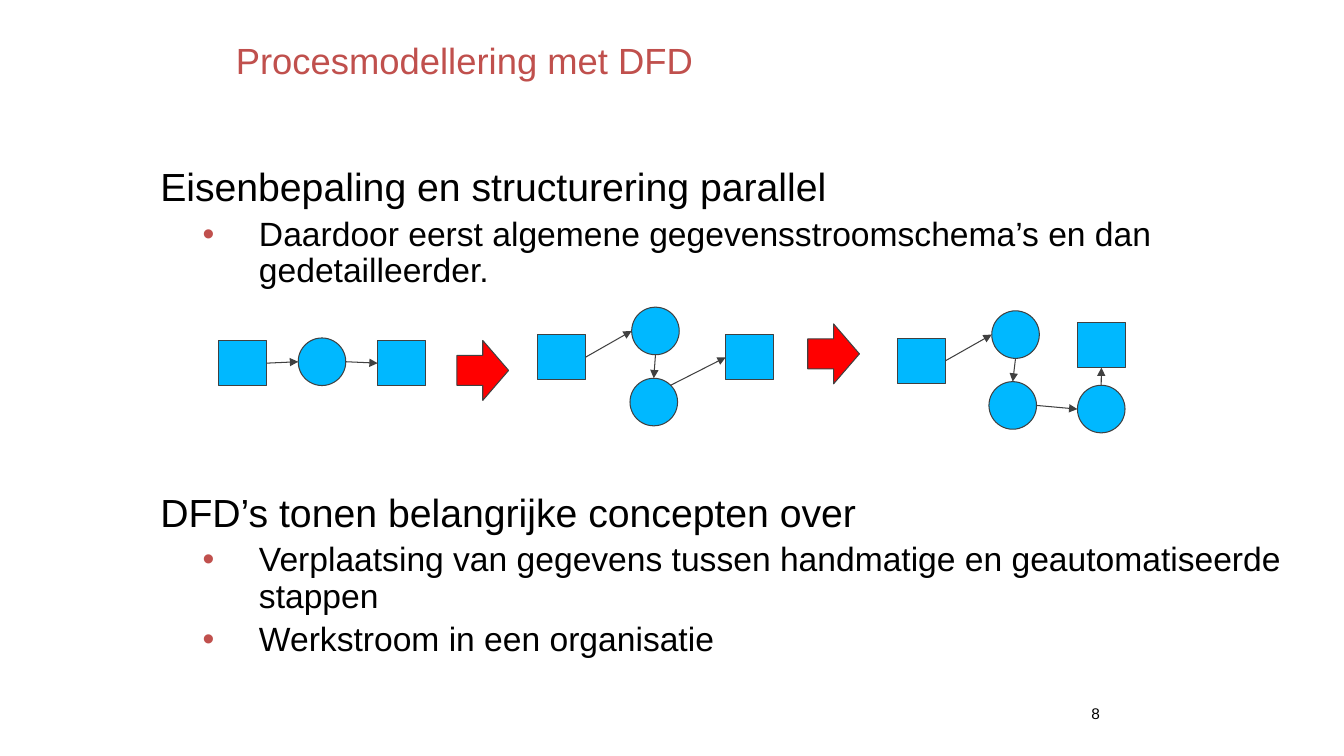
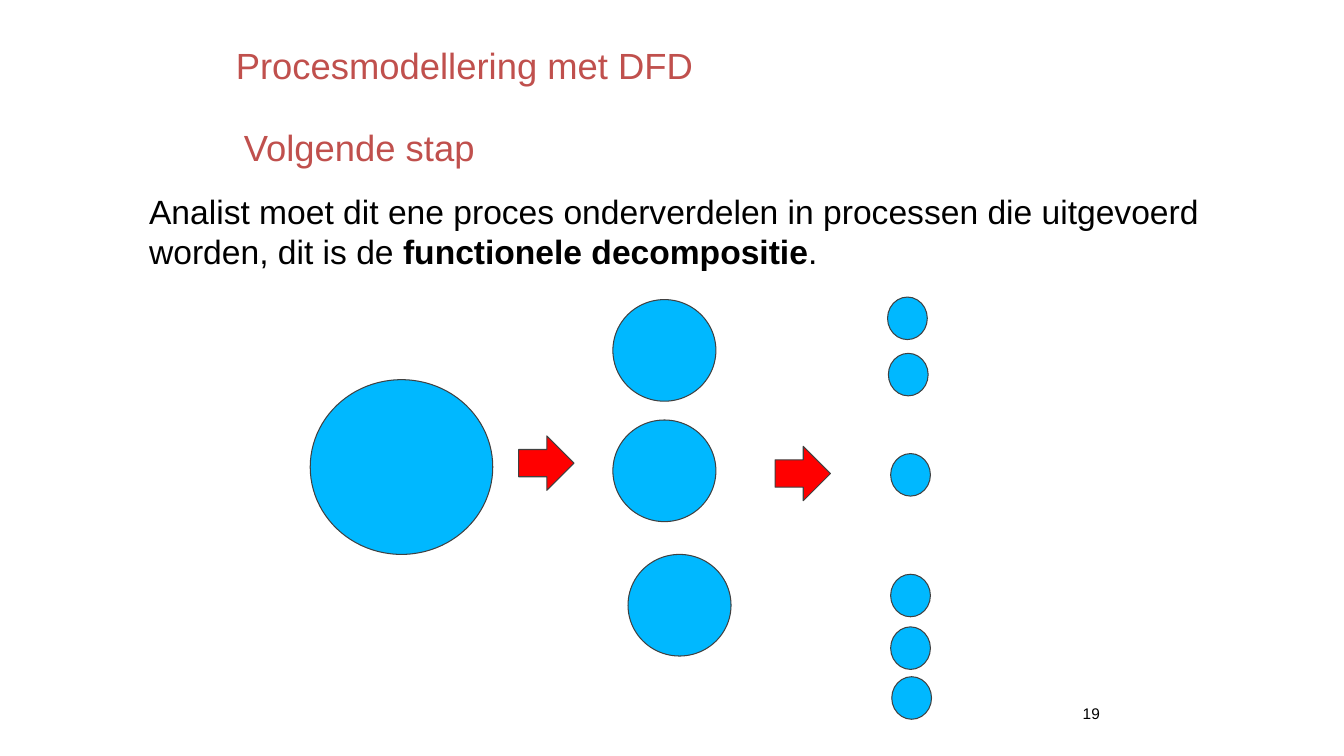
from dataclasses import dataclass

from pptx import Presentation
from pptx.dml.color import RGBColor
from pptx.enum.shapes import MSO_CONNECTOR, MSO_SHAPE
from pptx.enum.text import MSO_ANCHOR, PP_ALIGN
from pptx.oxml.ns import qn
from pptx.util import Pt
from lxml.etree import SubElement


@dataclass(frozen=True)
class Theme:
    font: str = "Arial"
    accent: RGBColor = RGBColor(0xC0, 0x50, 0x4D)
    ink: RGBColor = RGBColor(0x00, 0x00, 0x00)
    node: RGBColor = RGBColor(0x00, 0xB8, 0xFF)
    arrow: RGBColor = RGBColor(0xFF, 0x00, 0x00)
    outline: RGBColor = RGBColor(0x40, 0x40, 0x40)
    outline_width: float = 0.75
    title_size: int = 26
    heading_size: int = 28
    body_size: int = 24
    number_size: int = 11
    tight: float = 0.9


THEME = Theme()
TITLE = "Procesmodellering met DFD"

# Connection points as fractions of a node's width and height
TOP, BOTTOM, LEFT, RIGHT = (0.5, 0), (0.5, 1), (0, 0.5), (1, 0.5)
UPPER_RIGHT = (0.85, 0.15)


# Text
def add_box(page, left, top, width, height, anchor=MSO_ANCHOR.TOP):
    box = page.shapes.add_textbox(Pt(left), Pt(top), Pt(width), Pt(height))
    frame = box.text_frame
    frame.word_wrap = True
    frame.vertical_anchor = anchor
    frame.margin_left = frame.margin_right = Pt(0)
    frame.margin_top = frame.margin_bottom = Pt(0)
    return frame


def style_runs(para, size, color=THEME.ink):
    for span in para.runs:
        span.font.name = THEME.font
        span.font.size = Pt(size)
        span.font.color.rgb = color


def add_title(page, text, top, left=168.5):
    frame = add_box(page, left, top, 612, 90, MSO_ANCHOR.MIDDLE)
    frame.text = text
    para = frame.paragraphs[0]
    para.line_spacing = THEME.tight
    style_runs(para, THEME.title_size, THEME.accent)


def add_page_number(page, number):
    frame = add_box(page, 635.8, 491.8, 149.8, 36, MSO_ANCHOR.MIDDLE)
    frame.text = str(number)
    para = frame.paragraphs[0]
    para.alignment = PP_ALIGN.RIGHT
    style_runs(para, THEME.number_size)


def set_indent(para, margin, first_line):
    properties = para._p.get_or_add_pPr()
    properties.set("marL", str(Pt(margin)))
    properties.set("indent", str(Pt(first_line)))
    return properties


def add_bullet(para):
    properties = set_indent(para, 102.2, -40.3)
    color = SubElement(properties, qn("a:buClr"))
    SubElement(color, qn("a:srgbClr")).set("val", str(THEME.accent))
    SubElement(properties, qn("a:buFont")).set("typeface", THEME.font)
    SubElement(properties, qn("a:buChar")).set("char", "•")


def add_section(page, top, heading, bullets):
    frame = add_box(page, 82.8, top, 838.8, 120)
    frame.text = heading
    para = frame.paragraphs[0]
    para.line_spacing = THEME.tight
    set_indent(para, 31.7, 0)
    style_runs(para, THEME.heading_size)
    for text in bullets:
        para = frame.add_paragraph()
        para.text = text
        para.line_spacing = THEME.tight
        para.space_before = Pt(5)
        add_bullet(para)
        style_runs(para, THEME.body_size)


def add_statement(page, parts):
    para = add_box(page, 106.5, 136, 793, 60).paragraphs[0]
    for text, bold in parts:
        span = para.add_run()
        span.text = text
        span.font.bold = bold
    style_runs(para, THEME.body_size)


# Diagram parts
def add_figure(page, kind, left, top, width, height, fill=THEME.node):
    figure = page.shapes.add_shape(kind, Pt(left), Pt(top), Pt(width), Pt(height))
    figure.shadow.inherit = False
    figure.fill.solid()
    figure.fill.fore_color.rgb = fill
    figure.line.color.rgb = THEME.outline
    figure.line.width = Pt(THEME.outline_width)
    return figure


def add_entity(page, left, top):
    return add_figure(page, MSO_SHAPE.RECTANGLE, left, top, 34.2, 32.4)


def add_process(page, left, top, width=34, height=34):
    return add_figure(page, MSO_SHAPE.OVAL, left, top, width, height)


def add_step_arrow(page, left, top, width, height):
    add_figure(page, MSO_SHAPE.RIGHT_ARROW, left, top, width, height, THEME.arrow)


def point_on(figure, side):
    across, down = side
    return (int(figure.left + across * figure.width),
            int(figure.top + down * figure.height))


def add_flow(page, source, source_side, target, target_side):
    flow = page.shapes.add_connector(
        MSO_CONNECTOR.STRAIGHT,
        *point_on(source, source_side), *point_on(target, target_side))
    flow.line.color.rgb = THEME.outline
    flow.line.width = Pt(THEME.outline_width)
    SubElement(flow.line._get_or_add_ln(), qn("a:tailEnd")).set("type", "triangle")
    SubElement(flow._element.spPr, qn("a:effectLst"))


# Slides
def build_parallel_page(deck):
    page = deck.slides.add_slide(deck.slide_layouts[6])
    add_title(page, TITLE, 0)
    add_section(page, 120, "Eisenbepaling en structurering parallel", [
        "Daardoor eerst algemene gegevensstroomschema’s en dan gedetailleerder."])
    add_section(page, 352.5, "DFD’s tonen belangrijke concepten over", [
        "Verplaatsing van gegevens tussen handmatige en geautomatiseerde stappen",
        "Werkstroom in een organisatie"])
    add_page_number(page, 8)

    # One process
    source = add_entity(page, 156.2, 243.2)
    process = add_process(page, 213, 241.4)
    target = add_entity(page, 269.8, 243.2)
    add_flow(page, source, RIGHT, process, LEFT)
    add_flow(page, process, RIGHT, target, LEFT)

    # Two processes
    source = add_entity(page, 384, 239)
    first = add_process(page, 451.2, 219.4)
    second = add_process(page, 450, 270.2)
    target = add_entity(page, 518.4, 239)
    add_flow(page, source, RIGHT, first, LEFT)
    add_flow(page, first, BOTTOM, second, TOP)
    add_flow(page, second, UPPER_RIGHT, target, LEFT)

    # Three processes
    source = add_entity(page, 641, 241.6)
    first = add_process(page, 708.4, 222)
    second = add_process(page, 706.4, 272.6)
    third = add_process(page, 769.6, 275.2)
    target = add_entity(page, 769.6, 230.2)
    add_flow(page, source, RIGHT, first, LEFT)
    add_flow(page, first, BOTTOM, second, TOP)
    add_flow(page, second, RIGHT, third, LEFT)
    add_flow(page, third, TOP, target, BOTTOM)

    for left, top in ((326.4, 243.2), (577, 231.4)):
        add_step_arrow(page, left, top, 36.9, 42.8)


def build_decomposition_page(deck):
    page = deck.slides.add_slide(deck.slide_layouts[6])
    add_title(page, TITLE, 3.6)
    add_title(page, "Volgende stap", 61.9, 174.2)
    add_statement(page, [
        ("Analist moet dit ene proces onderverdelen in processen die "
         "uitgevoerd worden, dit is de ", False),
        ("functionele decompositie", True),
        (".", False)])
    add_page_number(page, 19)

    # Whole, parts and details of the process
    levels = (
        (130.4, 124.8, [(221.6, 271.2)]),
        (73.6, 72.6, [(437.8, 214), (437.8, 300), (448.6, 396)]),
        (28.4, 30.4, [(634, 212.2), (634.6, 252.4), (636.2, 324),
                      (636.2, 410.2), (636.2, 447.8), (637, 483.4)]),
    )
    for width, height, places in levels:
        for left, top in places:
            add_process(page, left, top, width, height)
    for left, top in ((370.4, 311.4), (553.6, 318.8)):
        add_step_arrow(page, left, top, 39.6, 38.9)


def main():
    deck = Presentation()
    deck.slide_width, deck.slide_height = Pt(960), Pt(540)
    build_parallel_page(deck)
    build_decomposition_page(deck)
    deck.save("out.pptx")


if __name__ == "__main__":
    main()
